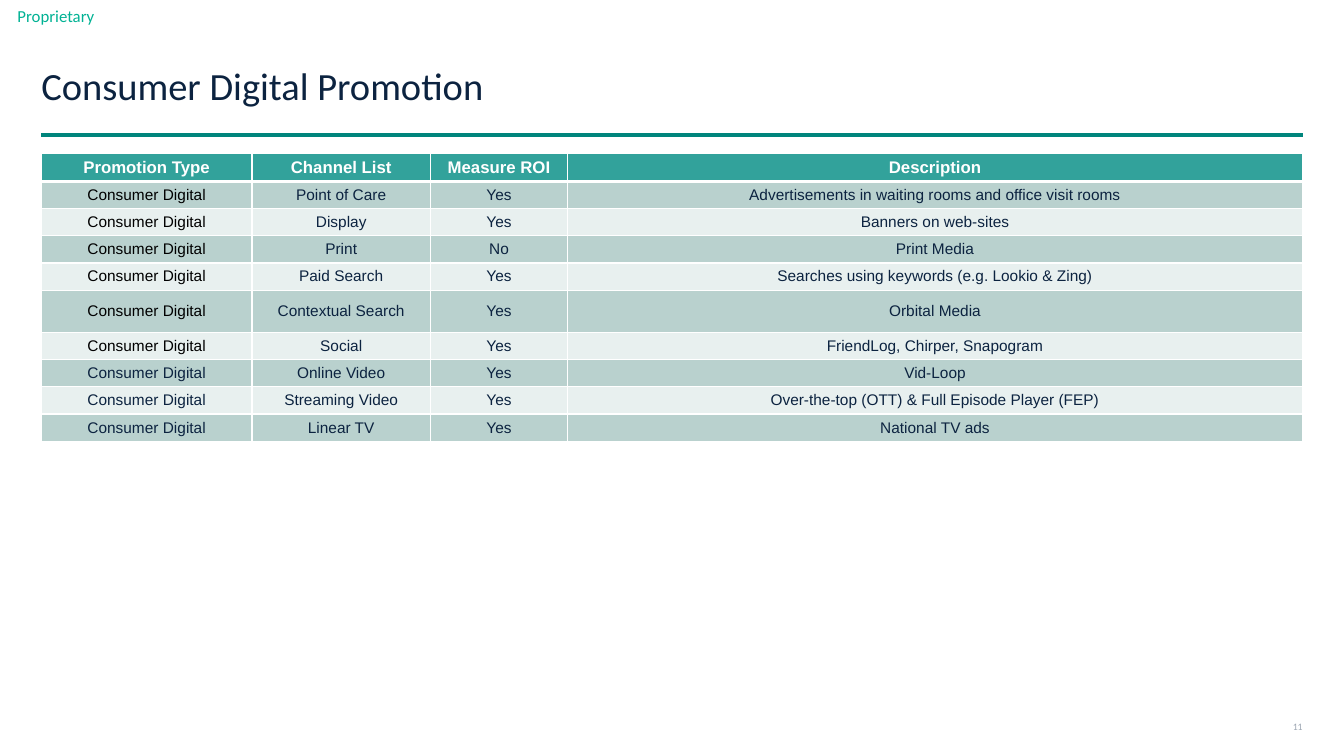
from lxml.etree import SubElement
from pptx import Presentation
from pptx.dml.color import RGBColor
from pptx.enum.shapes import MSO_CONNECTOR
from pptx.enum.text import MSO_ANCHOR, MSO_AUTO_SIZE, PP_ALIGN
from pptx.oxml.ns import qn
from pptx.util import Inches, Pt

# Content
TITLE = "Consumer Digital Promotion"
LABEL = "Proprietary"
PAGE = "11"
HEADER = ("Promotion Type", "Channel List", "Measure ROI", "Description")
PROMOTION = "Consumer Digital"
CHANNELS = [
    ("Point of Care", "Yes", "Advertisements in waiting rooms and office visit rooms"),
    ("Display", "Yes", "Banners on web-sites"),
    ("Print", "No", "Print Media"),
    ("Paid Search", "Yes", "Searches using keywords (e.g. Lookio & Zing)"),
    ("Contextual Search", "Yes", "Orbital Media"),
    ("Social", "Yes", "FriendLog, Chirper, Snapogram"),
    ("Online Video", "Yes", "Vid-Loop"),
    ("Streaming Video", "Yes", "Over-the-top (OTT) & Full Episode Player (FEP)"),
    ("Linear TV", "Yes", "National TV ads"),
]
COLORS = {
    "navy": "0C2340", "black": "000000", "white": "FFFFFF", "gray": "9EA7B3",
    "label": "00B294", "rule": "00857C", "header": "32A29B",
    "dark_band": "B9D1CE", "light_band": "E8F0EF",
}

# Layout, in inches
LEFT, WIDTH = 0.41, 12.51
RULE_Y, TABLE_Y = 1.34, 1.52
COL_WIDTHS = (2.09, 1.77, 1.36, 7.29)
HEADER_H, ROW_H, TALL_ROW_H = 0.28, 0.27, 0.42
TALL_ROW = 5
BLACK_ROWS = range(1, 7)  # rows whose promotion type is black


def rgb(name):
    return RGBColor.from_string(COLORS[name])


def write(tf, text, size, color, font="Calibri", align=PP_ALIGN.LEFT, bold=False):
    tf.text = text
    p = tf.paragraphs[0]
    p.alignment = align
    f = p.runs[0].font
    f.name, f.size, f.bold = font, Pt(size), bold
    f.color.rgb = rgb(color)
    return p


def fit_frame(tf):
    tf.margin_left = tf.margin_right = tf.margin_top = tf.margin_bottom = 0
    tf.vertical_anchor = MSO_ANCHOR.MIDDLE
    tf.auto_size = MSO_AUTO_SIZE.NONE
    tf.word_wrap = True


def add_text(s, box, *args, **kwargs):
    tf = s.shapes.add_textbox(*map(Inches, box)).text_frame
    fit_frame(tf)
    write(tf, *args, **kwargs)


def set_borders(cell, top, bottom):
    tc_pr = cell._tc.get_or_add_tcPr()
    for side, width in (("L", 1), ("R", 1), ("T", top), ("B", bottom)):
        ln = SubElement(tc_pr, qn("a:ln" + side), w=str(Pt(width)))
        SubElement(SubElement(ln, qn("a:solidFill")), qn("a:srgbClr"), val=COLORS["white"])


prs = Presentation()
prs.slide_width, prs.slide_height = Inches(13.33), Inches(7.5)
s = prs.slides.add_slide(prs.slide_layouts[5])

# Rule under the title
rule = s.shapes.add_connector(MSO_CONNECTOR.STRAIGHT, Inches(LEFT), Inches(RULE_Y),
                              Inches(LEFT + WIDTH), Inches(RULE_Y))
rule.line.color.rgb = rgb("rule")
rule.line.width = Pt(2.5)
SubElement(rule._element.spPr, qn("a:effectLst"))

# Title, label and page number
title = s.shapes.title
title.left, title.top = Inches(LEFT), Inches(0.41)
title.width, title.height = Inches(WIDTH), Inches(0.93)
fit_frame(title.text_frame)
write(title.text_frame, TITLE, 27.5, "navy").line_spacing = 0.9
add_text(s, (0, 0, 1.11, 0.32), LABEL, 12, "label", align=PP_ALIGN.CENTER)
add_text(s, (12.67, 7.09, 0.25, 0.24), PAGE, 7, "gray", align=PP_ALIGN.RIGHT)

# Table
rows = [HEADER] + [(PROMOTION, *channel) for channel in CHANNELS]
heights = [HEADER_H] + [ROW_H] * len(CHANNELS)
heights[TALL_ROW] = TALL_ROW_H
table = s.shapes.add_table(len(rows), len(HEADER), Inches(LEFT), Inches(TABLE_Y),
                           Inches(WIDTH), Inches(sum(heights))).table
for col, width in zip(table.columns, COL_WIDTHS):
    col.width = Inches(width)
for i, values in enumerate(rows):
    table.rows[i].height = Inches(heights[i])
    is_header = i == 0
    band = "header" if is_header else "dark_band" if i % 2 else "light_band"
    for j, text in enumerate(values):
        cell = table.cell(i, j)
        cell.margin_top = cell.margin_bottom = Inches(0.04)
        cell.vertical_anchor = MSO_ANCHOR.MIDDLE
        set_borders(cell, 3 if i == 1 else 1, 3 if is_header else 1)
        cell.fill.solid()
        cell.fill.fore_color.rgb = rgb(band)
        black = j == 0 and i in BLACK_ROWS
        color = "white" if is_header else "black" if black else "navy"
        write(cell.text_frame, text, 12 if is_header else 11, color,
              "Arial", PP_ALIGN.CENTER, is_header)

prs.save("out.pptx")
